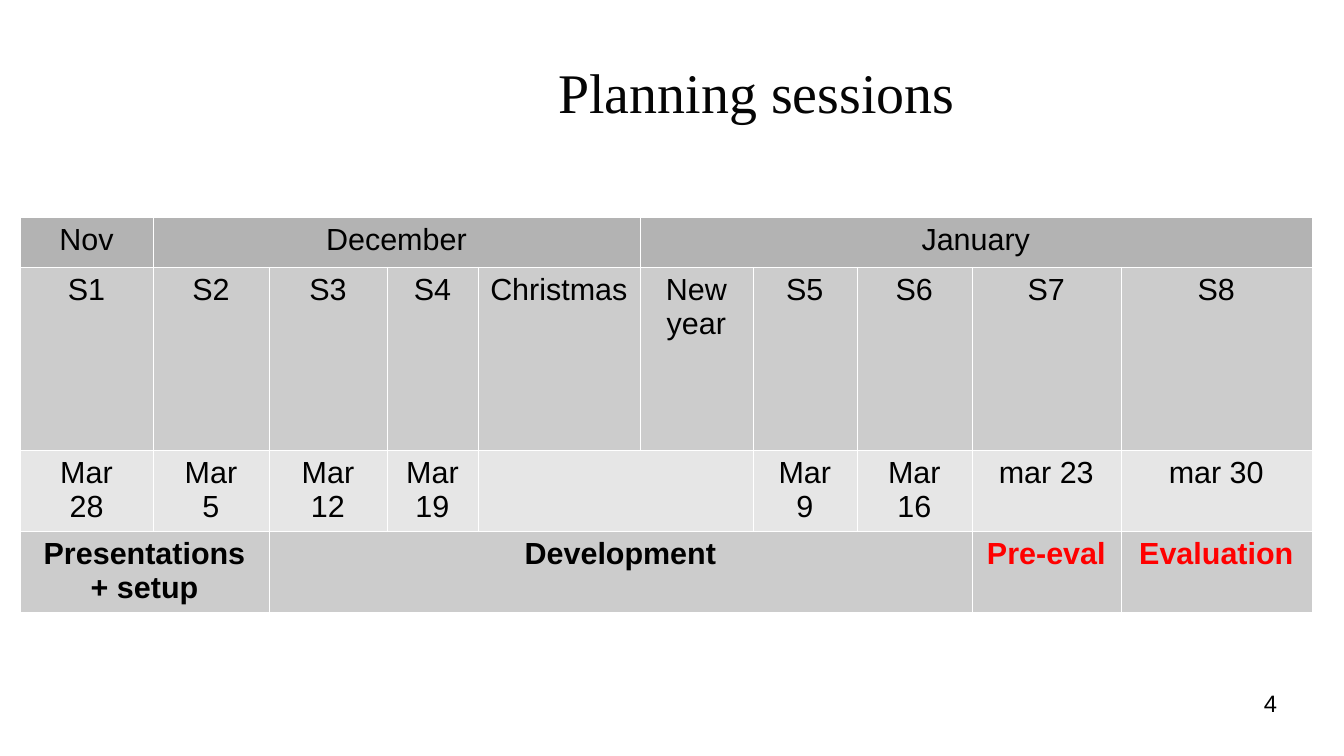
from dataclasses import dataclass
from itertools import accumulate

from lxml.etree import SubElement
from pptx import Presentation
from pptx.dml.color import RGBColor
from pptx.enum.text import MSO_ANCHOR, MSO_AUTO_SIZE, PP_ALIGN
from pptx.oxml.ns import qn
from pptx.util import Emu, Pt

TITLE = "Planning sessions"
PAGE_NUMBER = "4"
# Each row lists (text, number of columns covered).
MONTHS = [("Nov", 1), ("December", 4), ("January", 5)]
SESSIONS = [(name, 1) for name in (
    "S1", "S2", "S3", "S4", "Christmas", "New year", "S5", "S6", "S7", "S8")]
DATES = [("Mar\n28", 1), ("Mar\n5", 1), ("Mar 12", 1), ("Mar 19", 1), ("", 2),
         ("Mar\n9", 1), ("Mar\n16", 1), ("mar 23", 1), ("mar 30", 1)]
PHASES = [("Presentations + setup", 2), ("Development", 6),
          ("Pre-eval", 1), ("Evaluation", 1)]
DEADLINES = {"Pre-eval", "Evaluation"}


@dataclass(frozen=True)
class Theme:
    heading_font: str = "Times New Roman"
    body_font: str = "Arial"
    heading_size: int = 33
    body_size: int = 18
    number_size: int = 14
    heading: str = "050505"
    text: str = "000000"
    alert: str = "FF0000"
    border: str = "FFFFFF"
    dark: str = "B3B3B3"
    middle: str = "CCCCCC"
    light: str = "E6E6E6"


THEME = Theme()
ROWS = [(MONTHS, 50, THEME.dark), (SESSIONS, 183, THEME.middle),
        (DATES, 81, THEME.light), (PHASES, 81, THEME.middle)]
COLUMN_WIDTHS = [133, 116, 118, 91, 162, 113, 104, 115, 149, 191]
SLIDE_SIZE = (1344, 756)
TITLE_BOX = (216, 29, 1081, 124)
TABLE_CORNER = (20, 217)
NUMBER_BOX = (964, 689, 313, 52)
CELL_MARGINS = (12, 6, 12, 6)
BORDER_WIDTH = 762  # EMU


def px(length):
    return Emu(round(length * 914400 / 122))


def write(frame, text, *, size=THEME.body_size, font=THEME.body_font,
          color=THEME.text, bold=False, align=PP_ALIGN.CENTER):
    paragraph = frame.paragraphs[0]
    paragraph.text = text
    paragraph.alignment = align
    for run in paragraph.runs:
        run.font.name = font
        run.font.size = Pt(size)
        run.font.bold = bold
        run.font.color.rgb = RGBColor.from_string(color)


def set_margins(owner, margins):
    for side, margin in zip(("left", "top", "right", "bottom"), margins):
        setattr(owner, f"margin_{side}", px(margin))


def add_borders(cell):
    properties = cell._tc.get_or_add_tcPr()
    for position, edge in enumerate(("lnL", "lnR", "lnT", "lnB")):
        line = SubElement(properties, qn(f"a:{edge}"), w=str(BORDER_WIDTH))
        fill = SubElement(line, qn("a:solidFill"))
        SubElement(fill, qn("a:srgbClr"), val=THEME.border)
        properties.insert(position, line)


def add_title(slide):
    title = slide.shapes.title
    title.left, title.top, title.width, title.height = map(px, TITLE_BOX)
    frame = title.text_frame
    frame.auto_size = MSO_AUTO_SIZE.NONE
    frame.word_wrap = True
    frame.vertical_anchor = MSO_ANCHOR.MIDDLE
    set_margins(frame, (0, 0, 0, 0))
    write(frame, TITLE, size=THEME.heading_size, font=THEME.heading_font,
          color=THEME.heading)


def add_schedule(slide):
    size = (sum(COLUMN_WIDTHS), sum(height for _, height, _ in ROWS))
    table = slide.shapes.add_table(
        len(ROWS), len(COLUMN_WIDTHS), *map(px, TABLE_CORNER + size)).table
    table.first_row = table.horz_banding = False
    for column, width in zip(table.columns, COLUMN_WIDTHS):
        column.width = px(width)
    for row_index, (entries, height, fill) in enumerate(ROWS):
        table.rows[row_index].height = px(height)
        for cell in table.rows[row_index].cells:
            cell.fill.solid()
            cell.fill.fore_color.rgb = RGBColor.from_string(fill)
            set_margins(cell, CELL_MARGINS)
            add_borders(cell)
        starts = accumulate((span for _, span in entries), initial=0)
        for (text, span), start in zip(entries, starts):
            cell = table.cell(row_index, start)
            if span > 1:
                cell.merge(table.cell(row_index, start + span - 1))
            write(cell.text_frame, text, bold=entries is PHASES,
                  color=THEME.alert if text in DEADLINES else THEME.text)


def add_page_number(slide):
    frame = slide.shapes.add_textbox(*map(px, NUMBER_BOX)).text_frame
    frame.word_wrap = True
    set_margins(frame, (0, 0, 0, 0))
    write(frame, PAGE_NUMBER, size=THEME.number_size, align=PP_ALIGN.RIGHT)


def main():
    presentation = Presentation()
    presentation.slide_width, presentation.slide_height = map(px, SLIDE_SIZE)
    slide = presentation.slides.add_slide(presentation.slide_layouts[5])
    add_title(slide)
    add_schedule(slide)
    add_page_number(slide)
    presentation.save("out.pptx")


if __name__ == "__main__":
    main()
